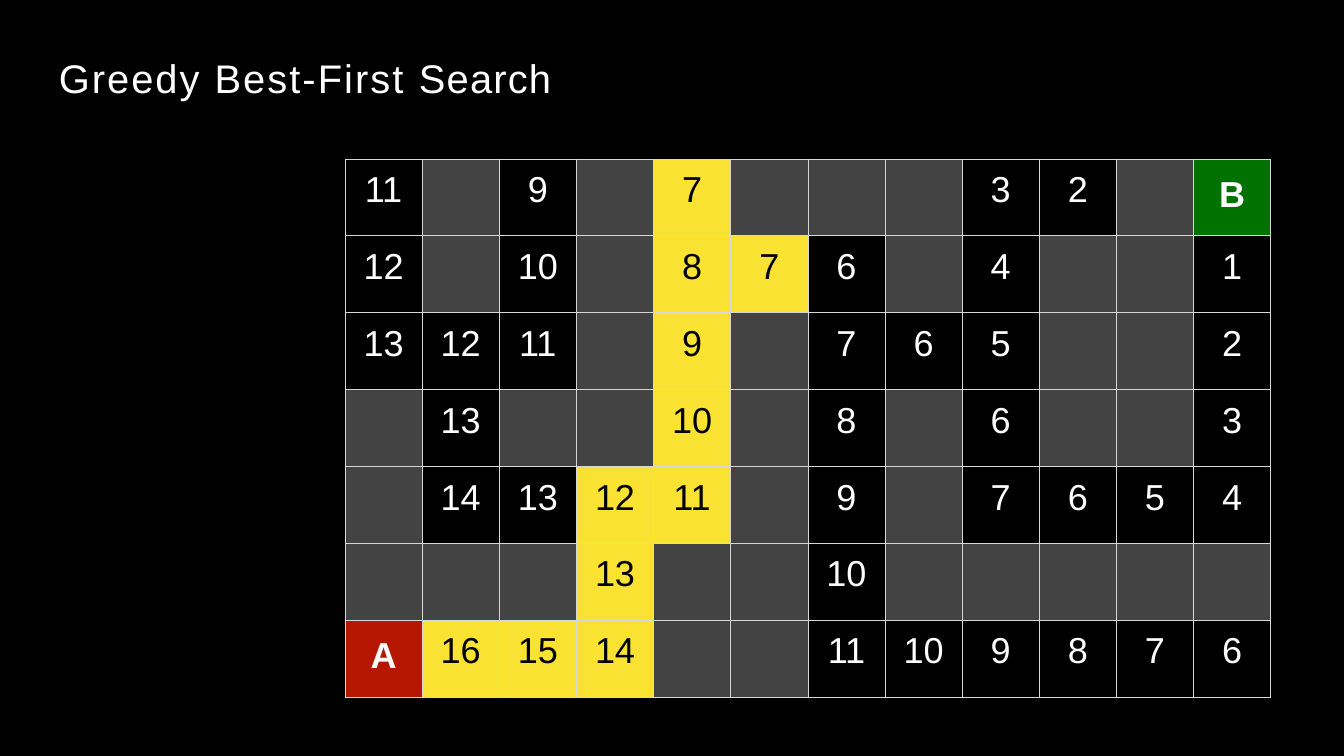
import pptx
import pptx.dml.color
import pptx.enum.text
import pptx.oxml
import pptx.oxml.ns
import pptx.util

EMU_PER_PX = 914400 / 61.1
COLORS = {
    "open": "000000",
    "wall": "434343",
    "explored": "FAE232",
    "start": "B51700",
    "goal": "017100",
    "light": "FFFFFF",
    "dark": "000000",
    "border": "D6D7D6",
}
MAZE = """
11 #  9  #   7*  #  #  #  3 2 # B
12 #  10 #   8*  7* 6  #  4 # # 1
13 12 11 #   9*  #  7  6  5 # # 2
#  13 #  #   10* #  8  #  6 # # 3
#  14 13 12* 11* #  9  #  7 6 5 4
#  #  #  13* #   #  10 #  # # # #
A 16* 15* 14* #  #  11 10 9 8 7 6
"""
MARKERS = {"A": "start", "B": "goal"}


def px(length):
    return round(length * EMU_PER_PX)


def rgb(name):
    return pptx.dml.color.RGBColor.from_string(COLORS[name])


def add_text(paragraph, text, size, color="light", bold=False, spacing=0):
    run = paragraph.add_run()
    run.text = text
    run.font.name = "Arial"
    run.font.size = pptx.util.Pt(size)
    run.font.bold = bold
    run.font.color.rgb = rgb(color)
    run.font._element.set("spc", str(round(spacing * 100)))


class SlideBuilder:
    title_size = 47
    cell_size = 42.5
    border_width = 1

    def __init__(self, presentation):
        self.slide = presentation.slides.add_slide(presentation.slide_layouts[6])
        background = self.slide.background.fill
        background.solid()
        background.fore_color.rgb = rgb("open")

    def title(self, pieces, left, top, width, height):
        box = self.slide.shapes.add_textbox(px(left), px(top), px(width), px(height))
        frame = box.text_frame
        frame.word_wrap = True
        frame.margin_left = frame.margin_right = frame.margin_bottom = 0
        frame.margin_top = px(1)
        for text, spacing in pieces:
            add_text(frame.paragraphs[0], text, self.title_size, spacing=spacing)

    def maze(self, rows, left, top, width, height):
        columns = len(rows[0])
        grid = self.slide.shapes.add_table(
            len(rows), columns, px(left), px(top), px(width), px(height)
        ).table
        grid.first_row = grid.horz_banding = False
        for column in grid.columns:
            column.width = px(width / columns)
        for row in grid.rows:
            row.height = px(height / len(rows))
        for row_index, labels in enumerate(rows):
            for column_index, label in enumerate(labels):
                self.maze_cell(grid.cell(row_index, column_index), label)

    def maze_cell(self, cell, label):
        marker = label in MARKERS
        explored = label.endswith("*")
        if label == "#":
            kind = "wall"
        elif explored:
            kind = "explored"
        else:
            kind = MARKERS.get(label, "open")
        cell.margin_left = cell.margin_right = cell.margin_bottom = 0
        cell.margin_top = px(16 if marker else 11)
        self.borders(cell)
        cell.fill.solid()
        cell.fill.fore_color.rgb = rgb(kind)
        if kind == "wall":
            return
        paragraph = cell.text_frame.paragraphs[0]
        paragraph.alignment = pptx.enum.text.PP_ALIGN.CENTER
        distance = label.rstrip("*")
        add_text(
            paragraph,
            distance,
            self.cell_size,
            color="dark" if explored else "light",
            bold=marker,
            spacing=-0.1 if len(distance) == 2 else 0,
        )

    def borders(self, cell):
        properties = cell._tc.get_or_add_tcPr()
        for side in "LRTB":
            properties.append(pptx.oxml.parse_xml(
                f'<a:ln{side} {pptx.oxml.ns.nsdecls("a")} '
                f'w="{pptx.util.Pt(self.border_width)}"><a:solidFill>'
                f'<a:srgbClr val="{COLORS["border"]}"/></a:solidFill></a:ln{side}>'
            ))


def main():
    presentation = pptx.Presentation()
    presentation.slide_width = px(1344)
    presentation.slide_height = px(756)
    builder = SlideBuilder(presentation)
    rows = [line.split() for line in MAZE.strip().splitlines()]
    builder.maze(rows, left=345, top=159, width=926, height=538)
    builder.title(
        [("Greedy ", 2.3), ("Best-First ", 2.4), ("Search", 1.4)],
        left=59, top=53, width=500, height=49,
    )
    presentation.save("out.pptx")


if __name__ == "__main__":
    main()
